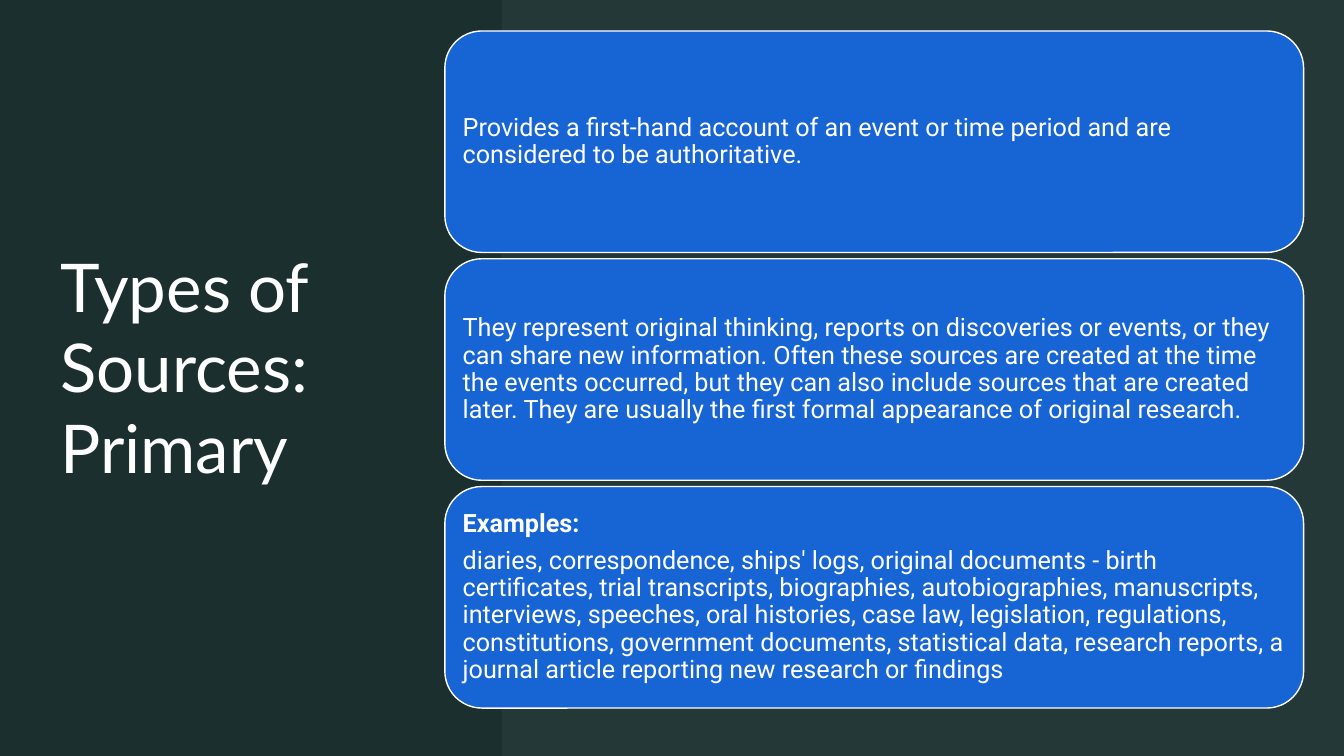
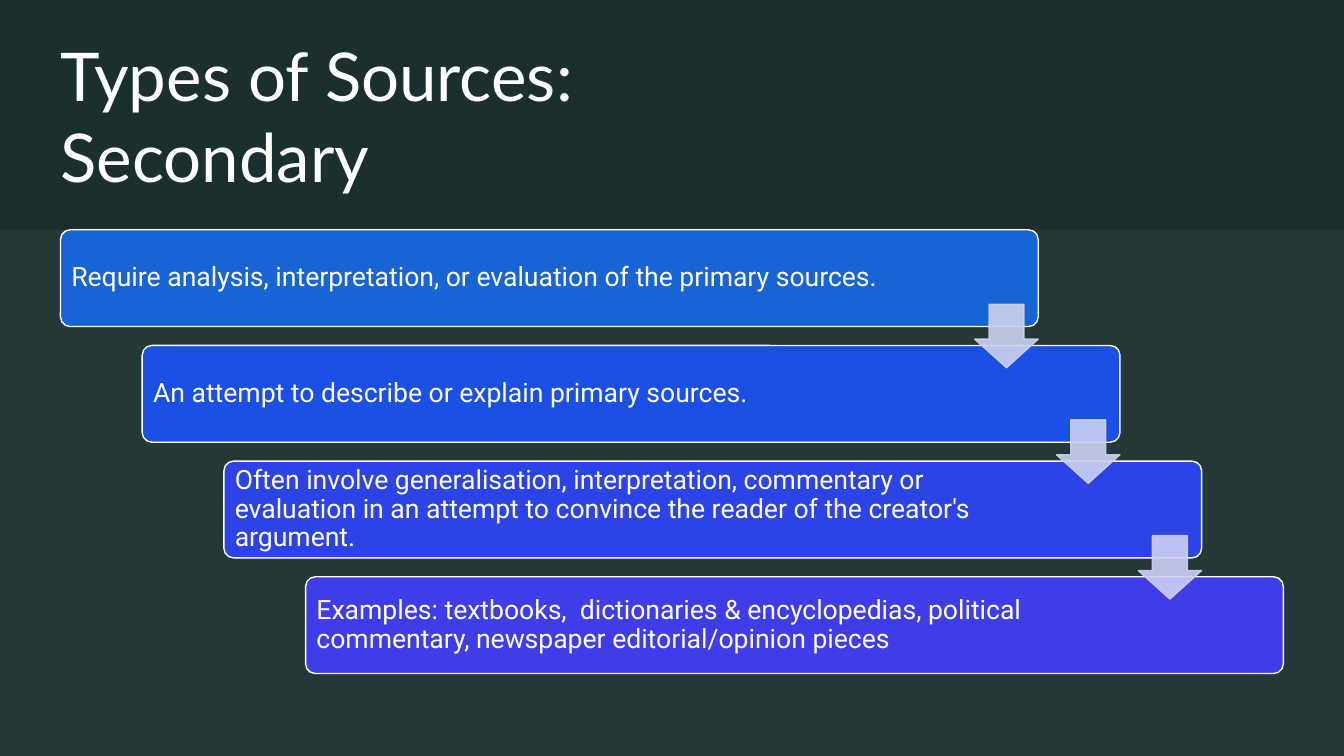
from lxml.etree import SubElement
from pptx import Presentation
from pptx.dml.color import RGBColor
from pptx.enum.shapes import MSO_SHAPE as Preset
from pptx.enum.text import MSO_ANCHOR as Anchor, PP_ALIGN as Align
from pptx.oxml.ns import qn
from pptx.util import Inches, Pt

SLIDE_W, SLIDE_H = Inches(13.333), Inches(7.5)
# The grid has 100 columns and 100 rows.
COL, ROW = SLIDE_W / 100, SLIDE_H / 100
MARGIN_COL, MARGIN_ROW = 4.5, 8

BACKDROP = RGBColor(0x1B, 0x2F, 0x2F)
VEIL = RGBColor(0xE3, 0xEF, 0xEF)
WHITE = RGBColor(0xFF, 0xFF, 0xFF)
BLUE = RGBColor(0x17, 0x64, 0xD5)
STEP_FILLS = [BLUE, RGBColor(0x1A, 0x50, 0xE6),
              RGBColor(0x2B, 0x43, 0xE7), RGBColor(0x3F, 0x3D, 0xE9)]
ARROW_FILLS = [RGBColor(0xCC, 0xD3, 0xEF), RGBColor(0xCD, 0xD1, 0xF3),
               RGBColor(0xCF, 0xCF, 0xF6)]

TITLE_FONT = {"name": "Lato", "size": Pt(48)}
CARD_FONT = {"name": "Roboto", "size": Pt(18)}
STEP_FONT = {"name": "Roboto", "size": Pt(19)}
BODY_PARAGRAPH = {"line_spacing": 0.9, "space_after": Pt(7)}

PRIMARY_CARDS = [
    ["Provides a first-hand account of an event or time period and are "
     "considered to be authoritative."],
    ["They represent original thinking, reports on discoveries or events, or "
     "they can share new information. Often these sources are created at the "
     "time the events occurred, but they can also include sources that are "
     "created later. They are usually the first formal appearance of original "
     "research."],
    ["Examples:",
     "diaries, correspondence, ships' logs, original documents - birth "
     "certificates, trial transcripts, biographies, autobiographies, "
     "manuscripts, interviews, speeches, oral histories, case law, "
     "legislation, regulations, constitutions, government documents, "
     "statistical data, research reports, a journal article reporting new "
     "research or findings"],
]
SECONDARY_STEPS = [
    "Require analysis, interpretation, or evaluation of the primary sources.",
    "An attempt to describe or explain primary sources.",
    "Often involve generalisation, interpretation, commentary or evaluation "
    "in an attempt to convince the reader of the creator's argument.",
    "Examples: textbooks,  dictionaries & encyclopedias, political "
    "commentary, newspaper editorial/opinion pieces",
]


def set_all(target, values):
    for attribute, value in values.items():
        setattr(target, attribute, value)


def cell(col, row, cols, rows):
    """Turn grid units into left, top, width and height."""
    return [round(n) for n in (col * COL, row * ROW, cols * COL, rows * ROW)]


def add_block(slide, preset, place, fill, line=None, opacity=100, adjust=()):
    block = slide.shapes.add_shape(preset, *place)
    block.shadow.inherit = False
    for index, value in enumerate(adjust):
        block.adjustments[index] = value
    block.fill.solid()
    block.fill.fore_color.rgb = fill
    if line is None:
        block.line.fill.background()
    else:
        block.line.color.rgb = line
        block.line.width = Pt(1)
    if opacity < 100:
        for color in block.element.spPr.iter(qn("a:srgbClr")):
            SubElement(color, qn("a:alpha"), val=str(opacity * 1000))
    return block


def write(holder, paragraphs, font, inset=0, right_inset=None, spacing=None):
    """Fill a shape with left-aligned text; the first of several lines is bold."""
    frame = holder.text_frame
    right = inset if right_inset is None else right_inset
    set_all(frame, {
        "word_wrap": True, "vertical_anchor": Anchor.MIDDLE,
        "margin_left": Inches(inset), "margin_right": Inches(right),
        "margin_top": Inches(inset), "margin_bottom": Inches(inset)})
    for index, text in enumerate(paragraphs):
        paragraph = frame.add_paragraph() if index else frame.paragraphs[0]
        set_all(paragraph, {"alignment": Align.LEFT, **(spacing or {})})
        run = paragraph.add_run()
        run.text = text
        set_all(run.font, {**font, "bold": len(paragraphs) > 1 and index == 0})
        run.font.color.rgb = WHITE


def start_slide(deck, title, title_size, veil_corner):
    """Add a slide with its title and a light veil down to the far corner."""
    slide = deck.slides.add_slide(deck.slide_layouts[6])
    heading = slide.shapes.add_textbox(*cell(MARGIN_COL, MARGIN_ROW, *title_size))
    write(heading, [title], TITLE_FONT)
    col, row = veil_corner
    add_block(slide, Preset.RECTANGLE, cell(col, row, 100 - col, 100 - row),
              VEIL, opacity=5)
    return slide


def add_card_stack(slide, cards):
    top, height, gap = 4.1, 29.3, 0.83
    for index, paragraphs in enumerate(cards):
        place = cell(33.1, top + index * (height + gap), 63.9, height)
        card = add_block(slide, Preset.ROUNDED_RECTANGLE, place, BLUE, WHITE)
        write(card, paragraphs, CARD_FONT, 0.07, spacing=BODY_PARAGRAPH)


def add_staircase(slide, steps, top):
    width, height, gap, shift = 72.75, 12.8, 2.5, 6.08
    arrow_cols, arrow_rows = 4.72, 8.4
    pitch = height + gap
    for index, (text, fill) in enumerate(zip(steps, STEP_FILLS)):
        place = cell(MARGIN_COL + index * shift, top + index * pitch, width, height)
        step = add_block(slide, Preset.ROUNDED_RECTANGLE, place, fill, WHITE,
                         adjust=[0.1])
        write(step, [text], STEP_FONT, 0.08, 1.5, BODY_PARAGRAPH)
    for index, fill in enumerate(ARROW_FILLS):
        right = MARGIN_COL + index * shift + width
        middle = top + index * pitch + height + gap / 2
        place = cell(right - arrow_cols, middle - arrow_rows / 2,
                     arrow_cols, arrow_rows)
        # Shaft width first in the listing of a down arrow, then head length.
        add_block(slide, Preset.DOWN_ARROW, place, fill, fill, 90, [0.55, 0.45])


def main():
    deck = Presentation()
    set_all(deck, {"slide_width": SLIDE_W, "slide_height": SLIDE_H})
    backdrop = deck.slide_master.background.fill
    backdrop.solid()
    backdrop.fore_color.rgb = BACKDROP

    primary = start_slide(deck, "Types of Sources: Primary", (29.25, 80.8), (37.33, 0))
    add_card_stack(primary, PRIMARY_CARDS)

    stairs_top = 30.4
    secondary = start_slide(deck, "Types of Sources: Secondary", (59.9, 14.4),
                            (0, stairs_top))
    add_staircase(secondary, SECONDARY_STEPS, stairs_top)

    deck.save("out.pptx")


if __name__ == "__main__":
    main()
